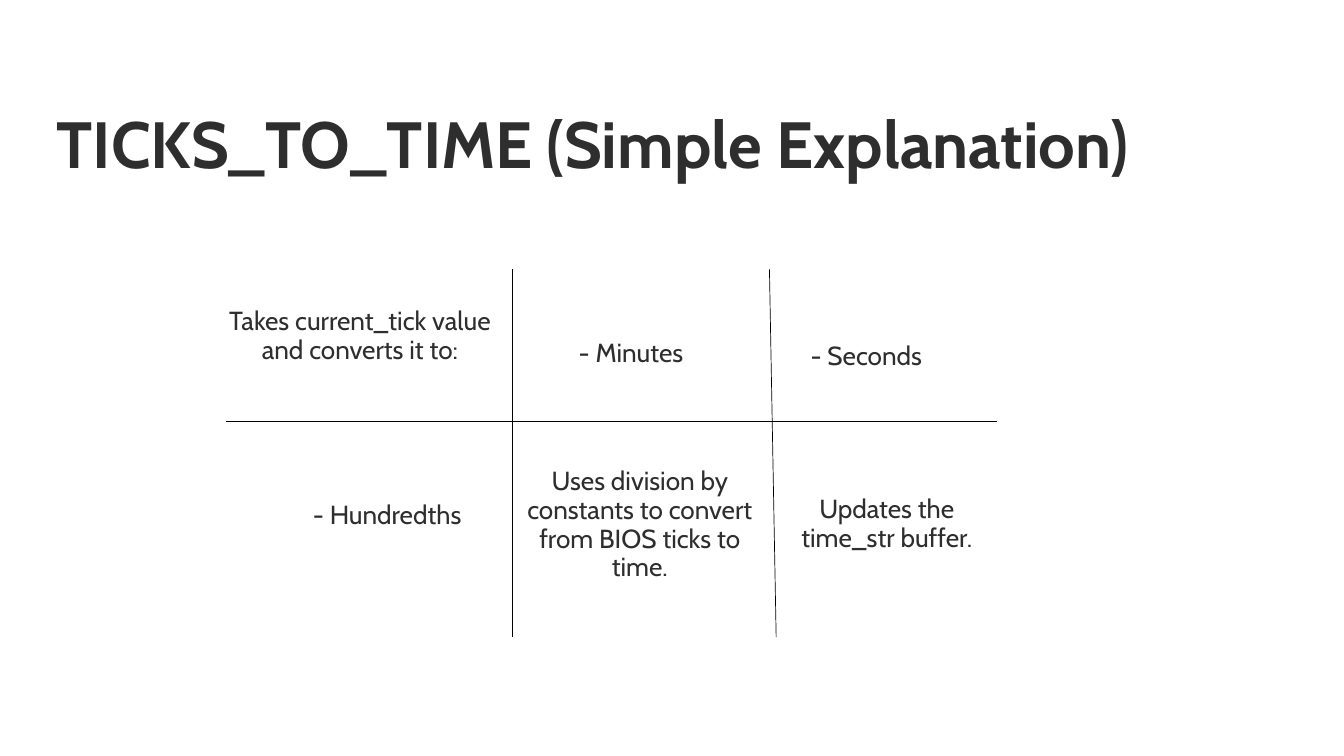
from lxml.etree import SubElement
from pptx import Presentation
from pptx.dml.color import RGBColor
from pptx.enum.shapes import MSO_CONNECTOR
from pptx.enum.text import MSO_AUTO_SIZE, PP_ALIGN
from pptx.oxml.ns import qn
from pptx.util import Inches, Pt

INK = RGBColor(0x2E, 0x2E, 0x2E)
BLACK = RGBColor(0, 0, 0)
WHITE = RGBColor(0xFF, 0xFF, 0xFF)
FONT = "Cabin"
COLS = (3.37, 7.62, 11.5, 14.84)
ROWS = (4.01, 6.27, 9.48)
SLANT = 0.05

# column, row, offset within the cell, width, height, text
CELLS = (
    (0, 0, 0, 0.56, 3.97, 1.29, "Takes current_tick value and converts it to:"),
    (0, 1, 0.52, 1.18, 3.74, 0.43, "- Hundredths"),
    (1, 0, -0.03, 1.04, 3.6, 0.43, "- Minutes"),
    (1, 1, -0.03, 0.68, 3.86, 1.72,
     "Uses division by constants to convert from BIOS ticks to time."),
    (2, 0, -0.55, 1.08, 3.88, 0.43, "- Seconds"),
    (2, 1, 0.05, 1.1, 3.29, 0.86, "Updates the time_str buffer."),
)


def add_text(s, text, x, y, w, h, size=28, leading=30.8, bold=False,
             align=PP_ALIGN.CENTER):
    sp = s.shapes.add_textbox(Inches(x), Inches(y), Inches(w), Inches(h))
    tf = sp.text_frame
    tf.word_wrap = True
    tf.auto_size = MSO_AUTO_SIZE.SHAPE_TO_FIT_TEXT
    tf.margin_left = tf.margin_right = tf.margin_top = tf.margin_bottom = 0
    p = tf.paragraphs[0]
    p.alignment = align
    p.line_spacing = Pt(leading)
    r = p.add_run()
    r.text = text
    r.font.name = FONT
    r.font.size = Pt(size)
    r.font.bold = bold
    r.font.color.rgb = INK


def add_rule(s, x1, y1, x2, y2):
    sp = s.shapes.add_connector(MSO_CONNECTOR.STRAIGHT, Inches(x1), Inches(y1),
                                Inches(x2), Inches(y2))
    sp.line.color.rgb = BLACK
    sp.line.width = Pt(0.75)
    SubElement(sp._element.spPr, qn("a:effectLst"))


def add_grid(s):
    left, first, second, right = COLS
    top, middle, bottom = ROWS
    add_rule(s, left, middle, right, middle)
    add_rule(s, first, bottom, first, top)
    add_rule(s, second + SLANT, bottom, second - SLANT, top)


def main():
    prs = Presentation()
    prs.slide_width, prs.slide_height = Inches(20), Inches(11.25)
    s = prs.slides.add_slide(prs.slide_layouts[6])
    s.background.fill.solid()
    s.background.fill.fore_color.rgb = WHITE
    add_text(s, "TICKS_TO_TIME (Simple Explanation)", 0.84, 1.54, 18.73, 1.17,
             size=70, leading=84, bold=True, align=PP_ALIGN.LEFT)
    for col, row, dx, dy, w, h, text in CELLS:
        add_text(s, text, COLS[col] + dx, ROWS[row] + dy, w, h)
    add_grid(s)
    prs.save("out.pptx")


if __name__ == "__main__":
    main()
